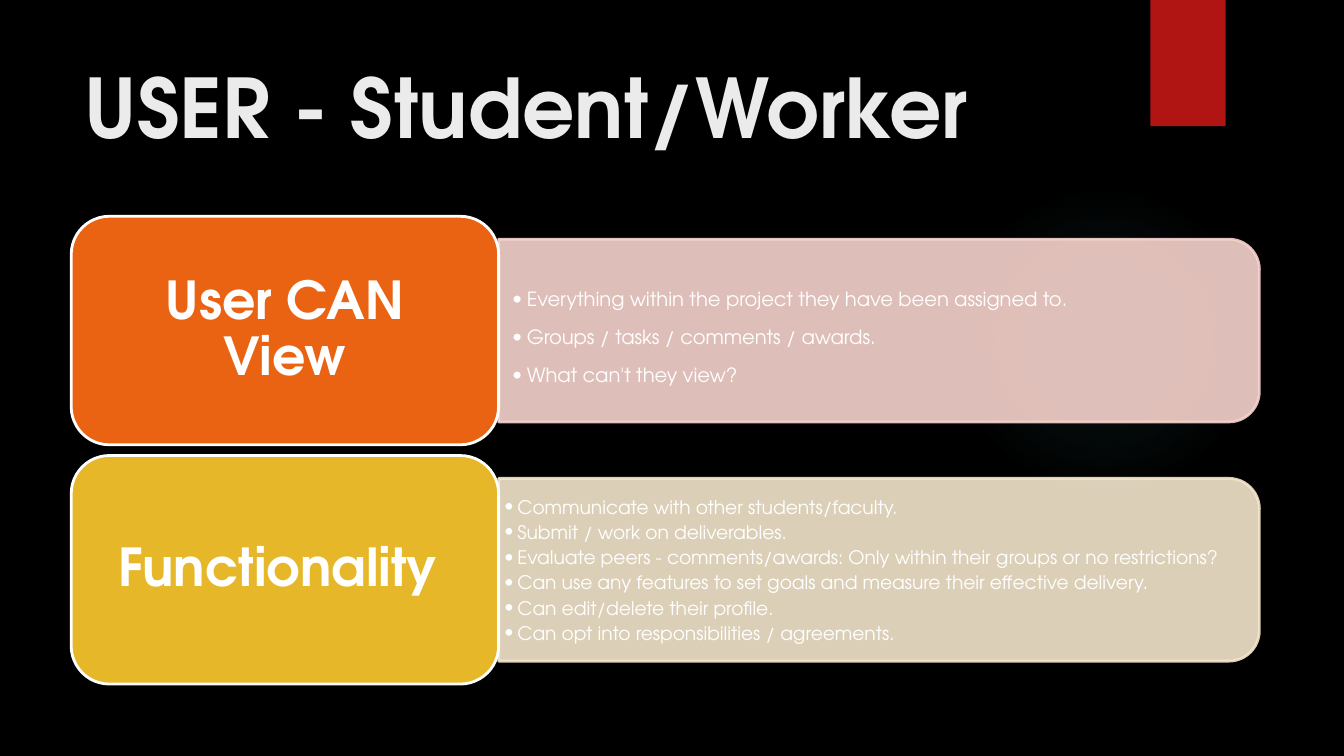
from lxml.etree import SubElement
from pptx import Presentation
from pptx.dml.color import RGBColor
from pptx.enum.shapes import MSO_SHAPE
from pptx.enum.text import MSO_ANCHOR, PP_ALIGN
from pptx.oxml import parse_xml
from pptx.oxml.ns import nsdecls, qn
from pptx.util import Inches, Pt

FONT = "TeX Gyre Adventor"
BLACK = RGBColor(0x00, 0x00, 0x00)
WHITE = RGBColor(0xFF, 0xFF, 0xFF)
TITLE_GREY = RGBColor(0xEB, 0xEB, 0xEB)
RED = RGBColor(0xB0, 0x15, 0x13)
ORANGE = RGBColor(0xEA, 0x63, 0x12)
YELLOW = RGBColor(0xE6, 0xB7, 0x29)
PALE_PINK = RGBColor(0xF7, 0xD3, 0xCC)
PALE_SAND = RGBColor(0xF5, 0xE6, 0xCD)
TEAL = RGBColor(0x50, 0xB9, 0xC1)


def write(frame, lines, size, color=WHITE, bold=False, align=PP_ALIGN.LEFT,
          anchor=MSO_ANCHOR.MIDDLE, insets=(0.1, 0.05), spacing=1.0,
          after=0, text_indent=None, hanging=0.1):
    """Fill a text frame; a text_indent in inches makes the lines bulleted."""
    frame.word_wrap = True
    frame.vertical_anchor = anchor
    frame.margin_left = frame.margin_right = Inches(insets[0])
    frame.margin_top = frame.margin_bottom = Inches(insets[1])
    for i, line in enumerate(lines):
        paragraph = frame.paragraphs[0] if i == 0 else frame.add_paragraph()
        paragraph.alignment = align
        paragraph.line_spacing = spacing
        paragraph.space_before = Pt(0)
        paragraph.space_after = Pt(after)
        if text_indent is not None:
            props = paragraph._p.get_or_add_pPr()
            props.set("marL", str(Inches(text_indent)))
            props.set("indent", str(-Inches(hanging)))
            SubElement(props, qn("a:buFont")).set("typeface", FONT)
            SubElement(props, qn("a:buChar")).set("char", "•")
        run = paragraph.add_run()
        run.text = line
        run.font.name = FONT
        run.font.size = Pt(size)
        run.font.bold = bold
        run.font.color.rgb = color


def add_block(kind, left, top, width, height, fill, outline=None, opacity=100):
    block = slide.shapes.add_shape(
        kind, Inches(left), Inches(top), Inches(width), Inches(height))
    block.shadow.inherit = False
    block.fill.solid()
    block.fill.fore_color.rgb = fill
    if outline is None:
        block.line.fill.background()
    else:
        block.line.color.rgb = outline
        block.line.width = Pt(1.5)
    if opacity < 100:
        for color in block._element.spPr.iter(qn("a:srgbClr")):
            SubElement(color, qn("a:alpha")).set("val", str(opacity * 1000))
    return block


prs = Presentation()
prs.slide_width, prs.slide_height = Inches(10), Inches(10 * 9 / 16)
slide = prs.slides.add_slide(prs.slide_layouts[5])
slide.background.fill.solid()
slide.background.fill.fore_color.rgb = BLACK

# Faint round glow and red tab
glow = add_block(MSO_SHAPE.OVAL, 7.06, 1.38, 2.31, 2.31, TEAL)
stops = "".join(
    f'<a:gs pos="{position * 1000}"><a:srgbClr val="{TEAL}">'
    f'<a:alpha val="{alpha * 1000}"/></a:srgbClr></a:gs>'
    for position, alpha in ((0, 7), (36, 6), (69, 0)))
solid_fill = glow._element.spPr.find(qn("a:solidFill"))
glow._element.spPr.replace(solid_fill, parse_xml(
    f'<a:gradFill {nsdecls("a")} rotWithShape="1"><a:gsLst>{stops}</a:gsLst>'
    '<a:path path="circle"><a:fillToRect l="50000" t="50000" r="50000" b="50000"/>'
    '</a:path></a:gradFill>'))

tab = add_block(MSO_SHAPE.RECTANGLE, 8.56, 0, 0.56, 0.94, RED)
tab._element.spPr.find(qn("a:effectLst")).append(parse_xml(
    f'<a:outerShdw {nsdecls("a")} blurRad="{Pt(3)}" dist="{Pt(2)}" dir="5400000" '
    f'rotWithShape="0"><a:srgbClr val="{BLACK}"><a:alpha val="45000"/></a:srgbClr>'
    '</a:outerShdw>'))

title = slide.shapes.title
title.left, title.top = Inches(0.53), Inches(0.37)
title.width, title.height = Inches(7.71), Inches(1.15)
write(title.text_frame, ["USER - Student/Worker"], size=44, color=TITLE_GREY,
      bold=True, anchor=MSO_ANCHOR.TOP)

# Each topic: a card on the left and a panel of details on its right
CARD_LEFT, CARD_WIDTH, CARD_HEIGHT = 0.53, 3.18, 1.7
CARD_PADDING = 0.08
FIRST_TOP, PITCH = 1.61, 1.78
PANEL_LEFT = CARD_LEFT + CARD_WIDTH
PANEL_WIDTH, PANEL_HEIGHT = 5.66, 1.36
DETAILS_WIDTH, DETAILS_HEIGHT = 5.59, 1.22

topics = [
    ("User CAN View", ORANGE, PALE_PINK,
     ["Everything within the project they have been assigned to.",
      "Groups / tasks / comments / awards.",
      "What can't they view?"],
     dict(size=10.5, spacing=1.5, text_indent=0.17, hanging=0.11,
          anchor=MSO_ANCHOR.TOP, insets=(0.04, 0.2))),
    ("Functionality ", YELLOW, PALE_SAND,
     ["Communicate with other students/faculty.",
      "Submit / work on deliverables.",
      "Evaluate peers - comments/awards: Only within their groups or no restrictions?",
      "Can use any features to set goals and measure their effective delivery.",
      "Can edit/delete their profile.",
      "Can opt into responsibilities / agreements."],
     dict(size=10, text_indent=0.1, insets=(0.04, 0.02))),
]

for row, (label, card_color, panel_color, details, style) in enumerate(topics):
    card_top = FIRST_TOP + row * PITCH
    middle = card_top + CARD_HEIGHT / 2

    # The panel is drawn upright and turned so its round corners face right
    panel = add_block(
        MSO_SHAPE.ROUND_2_SAME_RECTANGLE,
        PANEL_LEFT + (PANEL_WIDTH - PANEL_HEIGHT) / 2, middle - PANEL_WIDTH / 2,
        PANEL_HEIGHT, PANEL_WIDTH, panel_color, outline=panel_color, opacity=90)
    panel.rotation = 90

    details_area = slide.shapes.add_textbox(
        Inches(PANEL_LEFT), Inches(middle - DETAILS_HEIGHT / 2),
        Inches(DETAILS_WIDTH), Inches(DETAILS_HEIGHT))
    write(details_area.text_frame, details, after=1.5, **style)

    add_block(MSO_SHAPE.ROUNDED_RECTANGLE, CARD_LEFT, card_top,
              CARD_WIDTH, CARD_HEIGHT, card_color, outline=WHITE)
    heading = slide.shapes.add_textbox(
        Inches(CARD_LEFT + CARD_PADDING), Inches(card_top + CARD_PADDING),
        Inches(CARD_WIDTH - 2 * CARD_PADDING), Inches(CARD_HEIGHT - 2 * CARD_PADDING))
    write(heading.text_frame, [label], size=28, bold=True, align=PP_ALIGN.CENTER,
          insets=(0.12, 0.06), spacing=0.9)

prs.save("out.pptx")
